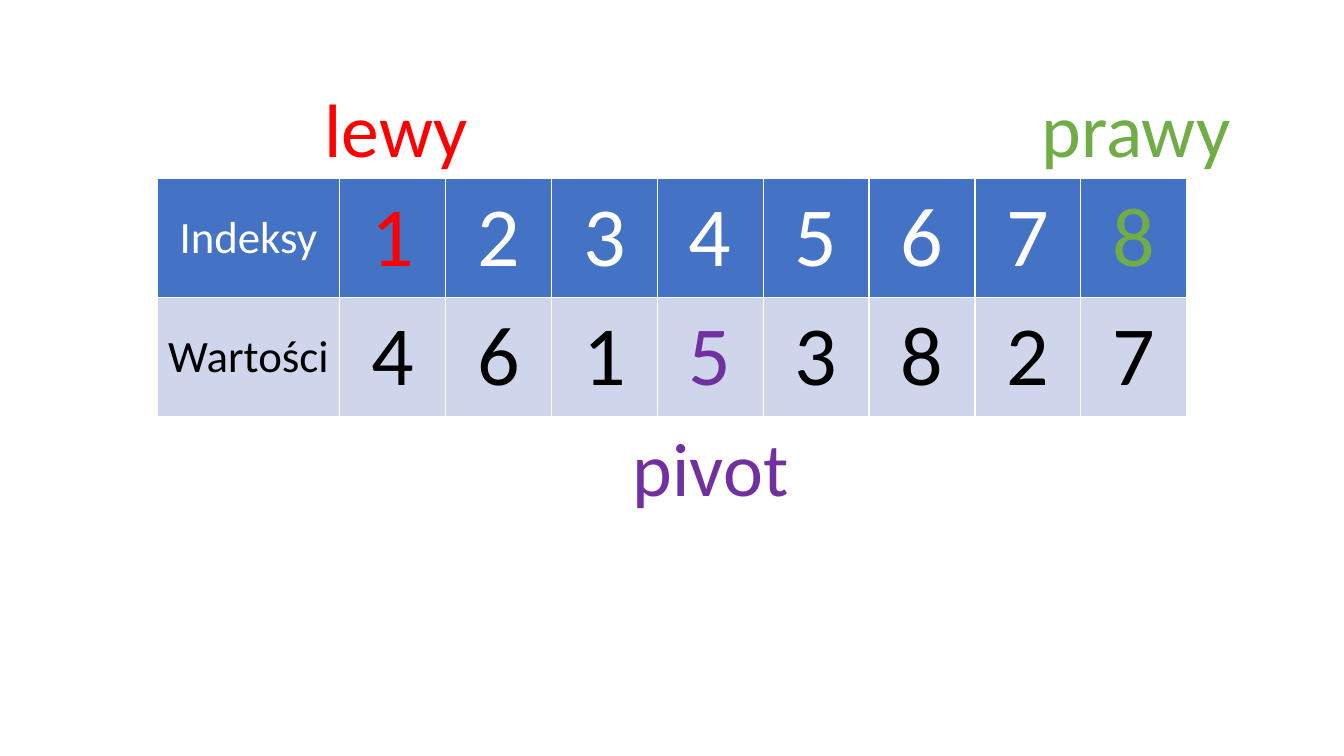
from lxml.etree import SubElement
from pptx import Presentation
from pptx.dml.color import RGBColor
from pptx.enum.text import MSO_ANCHOR as Anchor, MSO_AUTO_SIZE as Fit, PP_ALIGN as Align
from pptx.oxml.ns import qn
from pptx.util import Inches, Pt

FONT = "Calibri"
WHITE, BLACK = "FFFFFF", "000000"
RED, GREEN, PURPLE = "FF0000", "70AD47", "7030A0"

# heading, values, fill, text colour, marked columns
ROWS = [
    ("Indeksy", "12345678", "4472C4", WHITE, {1: RED, 8: GREEN}),
    ("Wartości", "46153827", "CFD5EA", BLACK, {4: PURPLE}),
]
LABELS = [
    ("lewy", RED, (3.11, 0.76, 1.64, 1.01)),
    ("prawy", GREEN, (10.22, 0.76, 2.1, 1.01)),
    ("pivot", PURPLE, (6.17, 4.13, 1.76, 1.01)),
]


def color(code):
    """Turn a hex string into a colour."""
    return RGBColor.from_string(code)


def write(frame, text, size, code):
    """Put one centred line of text in a frame."""
    line = frame.paragraphs[0]
    line.text = text
    line.alignment = Align.CENTER
    font = line.font
    font.name, font.size, font.bold = FONT, Pt(size), False
    font.color.rgb = color(code)


def edge(cell, code, width):
    """Draw all four borders of a cell."""
    props = cell._tc.get_or_add_tcPr()
    for side in ("a:lnL", "a:lnR", "a:lnT", "a:lnB"):
        line = SubElement(props, qn(side), w=str(Pt(width)))
        fill = SubElement(line, qn("a:solidFill"))
        SubElement(fill, qn("a:srgbClr"), val=code)


def add_grid(slide, box, head):
    """Add the table of indices and values; head is the first column's width."""
    count = len(ROWS[0][1])
    frame = slide.shapes.add_table(len(ROWS), count + 1, *map(Inches, box))
    table = frame.table
    for col, column in enumerate(table.columns):
        column.width = Inches((box[2] - head) / count if col else head)
    for row, (title, values, fill, ink, marks) in enumerate(ROWS):
        for col, text in enumerate([title, *values]):
            cell = table.cell(row, col)
            edge(cell, WHITE, 1)
            cell.fill.solid()
            cell.fill.fore_color.rgb = color(fill)
            cell.vertical_anchor = Anchor.MIDDLE
            write(cell.text_frame, text, 60 if col else 32, marks.get(col, ink))


def add_label(slide, text, code, box):
    """Add the name of a marked column."""
    frame = slide.shapes.add_textbox(*map(Inches, box)).text_frame
    frame.word_wrap = False
    frame.auto_size = Fit.SHAPE_TO_FIT_TEXT
    write(frame, text, 54, code)


def main():
    """Build the slide and save it."""
    deck = Presentation()
    deck.slide_width, deck.slide_height = Inches(13.33), Inches(7.5)
    slide = deck.slides.add_slide(deck.slide_layouts[6])
    add_grid(slide, (1.56, 1.77, 10.21, 2.36), 1.81)
    for label in LABELS:
        add_label(slide, *label)
    deck.save("out.pptx")


main()
